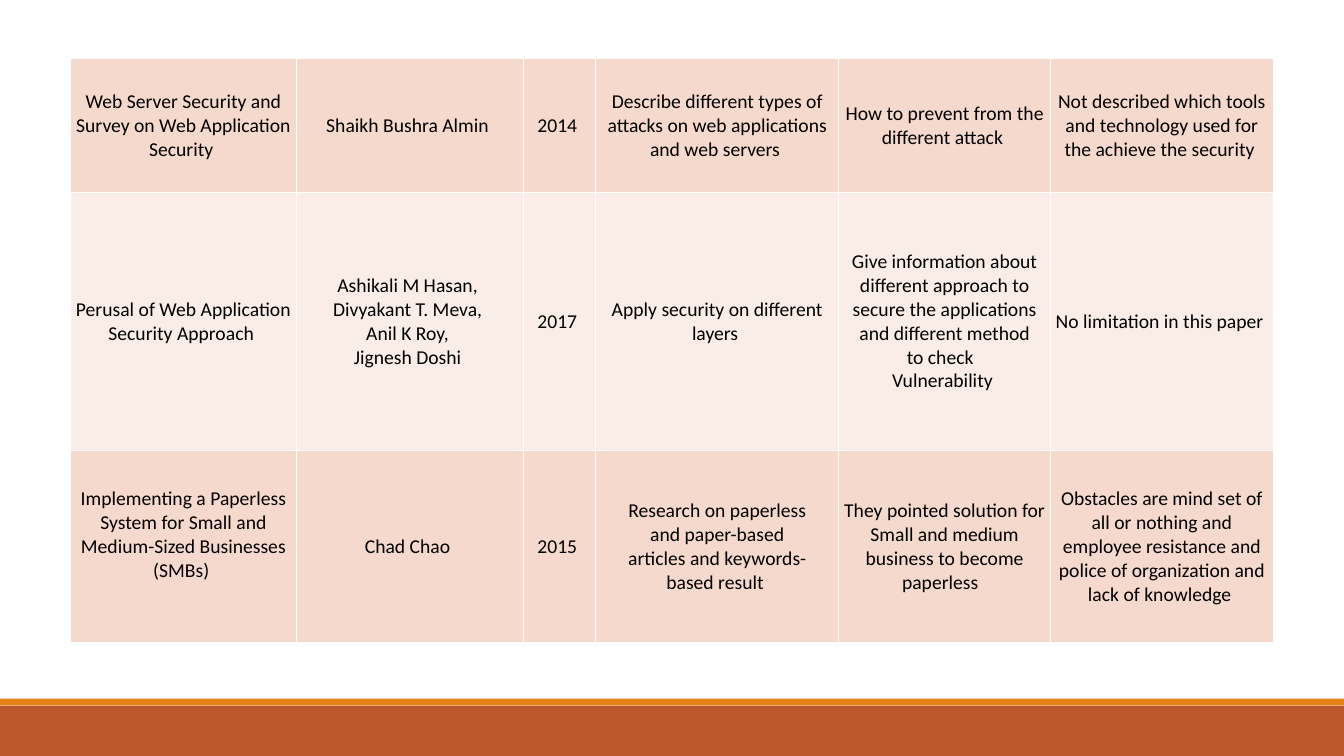
from lxml import etree
from pptx import Presentation
from pptx import util as u
from pptx.dml.color import RGBColor
from pptx.enum import shapes, text
from pptx.oxml import ns

COLOURS = {"rust": "BD582C", "orange": "E48312", "dark_row": "F5D9CC",
           "light_row": "FAEDE7", "border": "FFFFFF", "text": "000000"}
WIDTH, HEIGHT = u.Inches(13.33), u.Inches(7.5)
COLUMNS = [2.24, 2.25, 0.72, 2.41, 2.1, 2.21]
ROWS = [1.33, 2.56, 1.91]
HARD_SPACE = chr(160)
PAPERS = [
    ["Web Server Security and Survey on Web Application Security",
     "Shaikh Bushra Almin", "2014",
     "Describe different types of attacks on web applications and web servers",
     "How to prevent from the different attack",
     "Not described which tools and technology used for the achieve the security"],
    ["Perusal of Web Application Security Approach",
     "Ashikali~M Hasan,\nDivyakant~T.~Meva,\nAnil K Roy,\nJignesh Doshi", "2017",
     "Apply security on different layers",
     "Give information about different approach to secure the applications "
     "and different method to~check~\nVulnerability",
     "No limitation in this paper"],
    ["Implementing a Paperless System for Small and Medium-Sized Businesses (SMBs)",
     "Chad Chao", "2015",
     "Research~on paperless and~paper-based articles~and~keywords-based~result",
     "They pointed solution for Small and medium business to become paperless~",
     "Obstacles are mind set of all or nothing and employee resistance "
     "and police of organization and lack of knowledge"],
]


def colour(name):
    """Return the named colour."""
    return RGBColor.from_string(COLOURS[name])


def add_bar(slide, top, height, fill):
    """Add a full-width bar, placed by shares of the slide height."""
    shape = slide.shapes.add_shape(shapes.MSO_SHAPE.RECTANGLE, 0, int(HEIGHT * top),
                                   WIDTH, int(HEIGHT * height))
    shape.shadow.inherit = False
    shape.fill.solid()
    shape.fill.fore_color.rgb = colour(fill)
    shape.line.fill.background()


def write_text(frame, content, *, size=14, font="Calibri", ink="text"):
    """Write centred paragraphs, each ending in a hard space."""
    frame.word_wrap = True
    lines = content.replace("~", HARD_SPACE).split("\n")
    frame.text = "\n".join(line + HARD_SPACE for line in lines)
    for paragraph in frame.paragraphs:
        paragraph.alignment = text.PP_ALIGN.CENTER
        for run in paragraph.runs:
            run.font.size = u.Pt(size)
            run.font.name = font
            run.font.color.rgb = colour(ink)


def add_borders(cell, points=1):
    """Draw all four cell borders ahead of the cell fill."""
    properties = cell._tc.get_or_add_tcPr()
    for index, side in enumerate(("lnL", "lnR", "lnT", "lnB")):
        line = etree.Element(ns.qn(f"a:{side}"), w=str(u.Pt(points)))
        fill = etree.SubElement(line, ns.qn("a:solidFill"))
        etree.SubElement(fill, ns.qn("a:srgbClr"), val=COLOURS["border"])
        properties.insert(index, line)


def format_cell(cell, content, fill):
    """Fill a cell and set its text, margins and borders."""
    cell.margin_left = cell.margin_right = cell.margin_top = cell.margin_bottom = 0
    cell.vertical_anchor = text.MSO_ANCHOR.MIDDLE
    cell.fill.solid()
    cell.fill.fore_color.rgb = colour(fill)
    write_text(cell.text_frame, content)
    add_borders(cell)


def add_papers_table(slide, left, top):
    """Add the literature table with alternating row colours."""
    frame = slide.shapes.add_table(len(ROWS), len(COLUMNS), u.Inches(left), u.Inches(top),
                                   u.Inches(sum(COLUMNS)), u.Inches(sum(ROWS)))
    table = frame.table
    table.first_row = table.horz_banding = False
    for column, width in zip(table.columns, COLUMNS):
        column.width = u.Inches(width)
    for index, (row, height, paper) in enumerate(zip(table.rows, ROWS, PAPERS)):
        row.height = u.Inches(height)
        for cell, content in zip(row.cells, paper):
            format_cell(cell, content, ("dark_row", "light_row")[index % 2])
    return table


def main():
    """Build and save the slide."""
    presentation = Presentation()
    presentation.slide_width, presentation.slide_height = WIDTH, HEIGHT
    slide = presentation.slides.add_slide(presentation.slide_layouts[6])
    add_bar(slide, 14 / 15, 1 / 15, "rust")
    add_bar(slide, 0.924, 0.009, "orange")
    table = add_papers_table(slide, 0.7, 0.58)
    table.cell(2, 0).margin_bottom = u.Inches(0.24)
    presentation.save("out.pptx")


if __name__ == "__main__":
    main()
